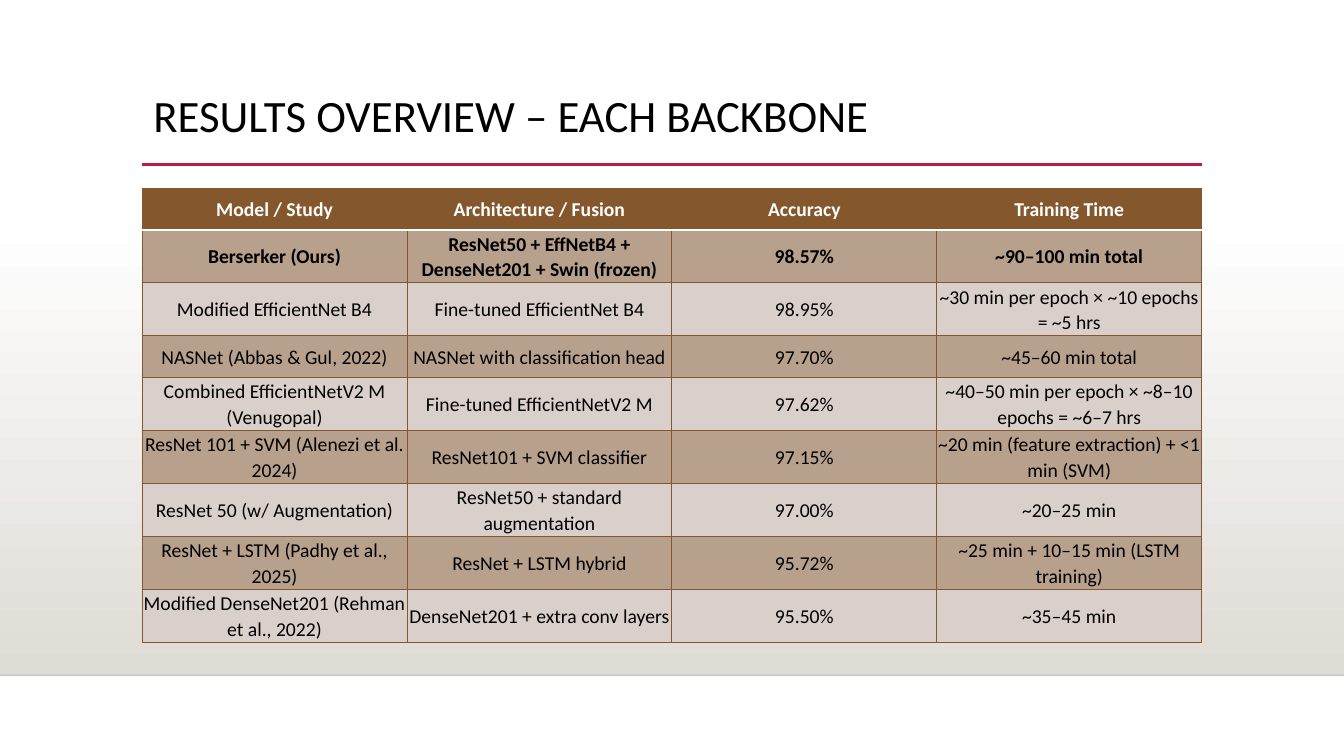
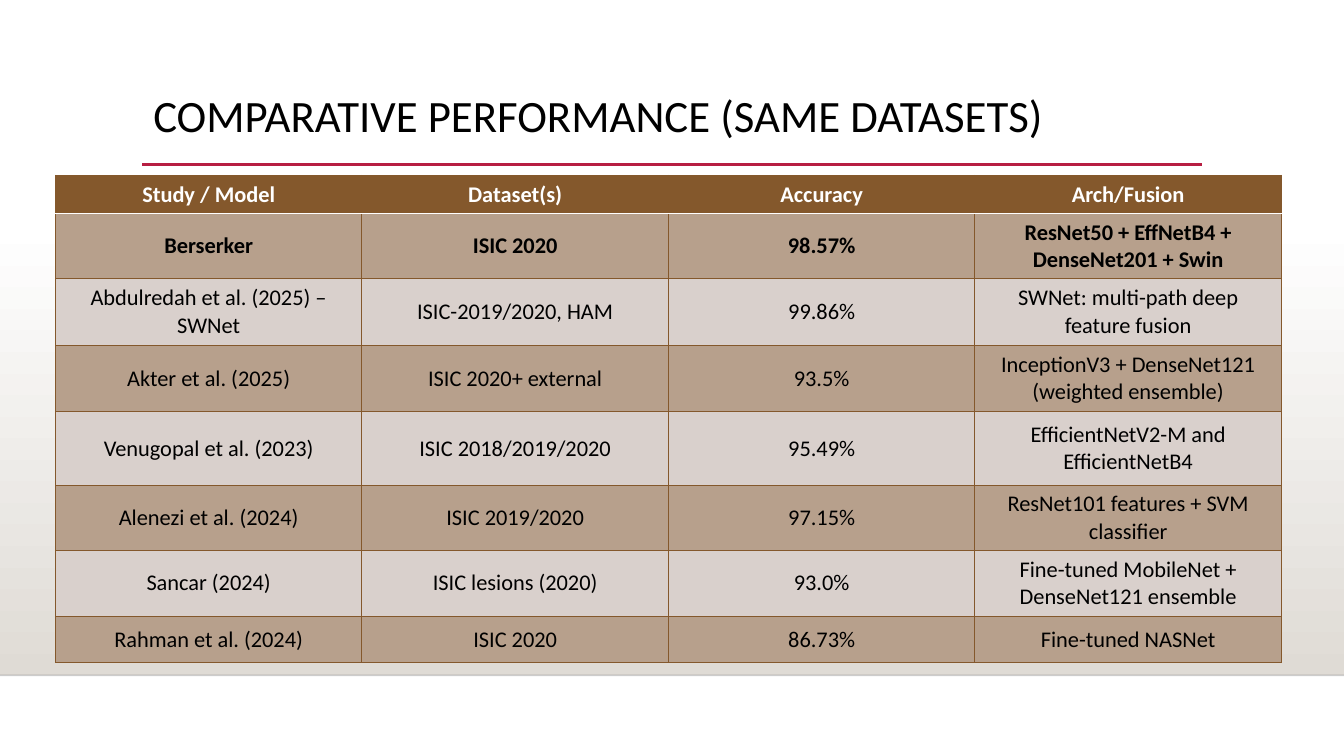
from dataclasses import dataclass

from lxml.etree import SubElement
from pptx import Presentation
from pptx.dml.color import RGBColor
from pptx.enum.shapes import MSO_CONNECTOR, MSO_SHAPE
from pptx.enum.text import MSO_ANCHOR, MSO_AUTO_SIZE, PP_ALIGN
from pptx.oxml.ns import qn
from pptx.util import Inches, Pt


@dataclass(frozen=True)
class Theme:
    font: str = "Calibri"
    title_size: int = 32
    text: str = "000000"
    white: str = "FFFFFF"
    brown: str = "84582C"
    dark_row: str = "B7A08C"
    pale_row: str = "D9D0CC"
    accent: str = "B71E42"
    band: str = "DFDBD5"
    floor: str = "000001"


theme = Theme()
WIDTH, HEIGHT = 13.33, 7.5
MARGIN = 1.41
CONTENT_WIDTH = WIDTH - 2 * MARGIN
FLOOR = HEIGHT - 0.8
BAND_TOP = 2.21

TABLES = [
    {
        "title": "RESULTS OVERVIEW – EACH BACKBONE",
        "left": MARGIN, "top": 1.87, "column": CONTENT_WIDTH / 4,
        "heights": [0.41] * 9,
        "size": 14, "inset": 0.01, "spacing": 1.07, "after": 8,
        "rows": [
            ("Model / Study", "Architecture / Fusion", "Accuracy", "Training Time"),
            ("Berserker (Ours)", "ResNet50 + EffNetB4 + DenseNet201 + Swin (frozen)",
             "98.57%", "~90–100 min total"),
            ("Modified EfficientNet B4", "Fine-tuned EfficientNet B4",
             "98.95%", "~30 min per epoch × ~10 epochs = ~5 hrs"),
            ("NASNet (Abbas & Gul, 2022)", "NASNet with classification head",
             "97.70%", "~45–60 min total"),
            ("Combined EfficientNetV2 M (Venugopal)", "Fine-tuned EfficientNetV2 M",
             "97.62%", "~40–50 min per epoch × ~8–10 epochs = ~6–7 hrs"),
            ("ResNet 101 + SVM (Alenezi et al. 2024)", "ResNet101 + SVM classifier",
             "97.15%", "~20 min (feature extraction) + <1 min (SVM)"),
            ("ResNet 50 (w/ Augmentation)", "ResNet50 + standard augmentation",
             "97.00%", "~20–25 min"),
            ("ResNet + LSTM (Padhy et al., 2025)", "ResNet + LSTM hybrid",
             "95.72%", "~25 min + 10–15 min (LSTM training)"),
            ("Modified DenseNet201 (Rehman et al., 2022)",
             "DenseNet201 + extra conv layers", "95.50%", "~35–45 min"),
        ],
    },
    {
        "title": "COMPARATIVE PERFORMANCE (SAME DATASETS)",
        "left": 0.55, "top": 1.74, "column": 3.04,
        "heights": [0.38, 0.59, 0.66, 0.66, 0.73, 0.59, 0.66, 0.46],
        "size": 16, "inset": None, "spacing": 1.0, "after": 0,
        "rows": [
            ("Study / Model", "Dataset(s)", "Accuracy", "Arch/Fusion"),
            ("Berserker", "ISIC 2020", "98.57%",
             "ResNet50 + EffNetB4 + DenseNet201 + Swin"),
            ("Abdulredah et al. (2025) – SWNet", "ISIC-2019/2020, HAM", "99.86%",
             "SWNet: multi-path deep feature fusion"),
            ("Akter et al. (2025)", "ISIC 2020+ external", "93.5%",
             "InceptionV3 + DenseNet121 (weighted ensemble)"),
            ("Venugopal et al. (2023)", "ISIC 2018/2019/2020", "95.49%",
             "EfficientNetV2-M and EfficientNetB4"),
            ("Alenezi et al. (2024)", "ISIC 2019/2020", "97.15%",
             "ResNet101 features + SVM classifier"),
            ("Sancar (2024)", "ISIC lesions (2020)", "93.0%",
             "Fine-tuned MobileNet + DenseNet121 ensemble"),
            ("Rahman et al. (2024)", "ISIC 2020", "86.73%", "Fine-tuned NASNet"),
        ],
    },
]


def style_paragraph(paragraph, size, color, bold, spacing, alignment):
    paragraph.alignment = alignment
    paragraph.line_spacing = spacing
    paragraph.font.name = theme.font
    paragraph.font.size = Pt(size)
    paragraph.font.bold = bold
    paragraph.font.color.rgb = RGBColor.from_string(color)


def add_border(cell, edge, color, width):
    """Draw one cell edge; edges go in the order L, R, T, B, before the fill."""
    properties = cell._tc.get_or_add_tcPr()
    line = SubElement(properties, qn(f"a:ln{edge}"), w=str(Pt(width)))
    fill = SubElement(line, qn("a:solidFill"))
    SubElement(fill, qn("a:srgbClr"), val=color)


presentation = Presentation()
presentation.slide_width = Inches(WIDTH)
presentation.slide_height = Inches(HEIGHT)
layout = presentation.slide_layouts[5]
slides = [presentation.slides.add_slide(layout) for _ in TABLES]

# Shared band and lines: drawn once, then moved to the layout
drawing = slides[0].shapes
band = drawing.add_shape(MSO_SHAPE.RECTANGLE, 0, Inches(BAND_TOP),
                         Inches(WIDTH), Inches(FLOOR - BAND_TOP))
band.shadow.inherit = False
band.line.fill.background()
band.fill.gradient()
band.fill.gradient_angle = 270
for stop, color in zip(band.fill.gradient_stops, (theme.white, theme.band)):
    stop.color.rgb = RGBColor.from_string(color)
decorations = [band]

for left, right, y, color, width, opacity in (
    (0, WIDTH, FLOOR, theme.floor, 1, 20),
    (MARGIN, WIDTH - MARGIN, 1.63, theme.accent, 2.5, 100),
):
    line = drawing.add_connector(MSO_CONNECTOR.STRAIGHT, Inches(left), Inches(y),
                                 Inches(right), Inches(y))
    line.line.color.rgb = RGBColor.from_string(color)
    line.line.width = Pt(width)
    if opacity < 100:
        tone = line.element.find(".//" + qn("a:srgbClr"))
        SubElement(tone, qn("a:alpha"), val=str(opacity * 1000))
    SubElement(line.element.spPr, qn("a:effectLst"))
    decorations.append(line)

for position, shape in enumerate(decorations, start=2):
    layout.shapes.element.insert(position, shape.element)

for slide, content in zip(slides, TABLES):
    title = slide.shapes.title
    title.left, title.top = Inches(MARGIN + 0.01), Inches(0.88)
    title.width, title.height = Inches(CONTENT_WIDTH), Inches(1.15)
    title.text_frame.text = content["title"]
    title.text_frame.vertical_anchor = MSO_ANCHOR.TOP
    title.text_frame.auto_size = MSO_AUTO_SIZE.NONE
    style_paragraph(title.text_frame.paragraphs[0], theme.title_size, theme.text,
                    False, 0.9, PP_ALIGN.LEFT)

    rows, heights = content["rows"], content["heights"]
    column_count = len(rows[0])
    table = slide.shapes.add_table(
        len(rows), column_count, Inches(content["left"]), Inches(content["top"]),
        Inches(content["column"] * column_count), Inches(sum(heights))).table
    table.horz_banding = False
    for column in table.columns:
        column.width = Inches(content["column"])

    for row_index, (row, height) in enumerate(zip(rows, heights)):
        table.rows[row_index].height = Inches(height)
        is_header = row_index == 0
        if is_header:
            background = theme.brown
        else:
            background = theme.dark_row if row_index % 2 else theme.pale_row
        for column_index, text in enumerate(row):
            cell = table.cell(row_index, column_index)
            cell.text = text
            cell.vertical_anchor = MSO_ANCHOR.MIDDLE
            if content["inset"] is not None:
                cell.margin_left = cell.margin_right = Inches(content["inset"])
                cell.margin_top = cell.margin_bottom = Inches(content["inset"])
            for edge in "LRTB":
                under_header = (row_index, edge) in ((0, "B"), (1, "T"))
                add_border(cell, edge, theme.white if under_header else theme.brown,
                           1.25 if under_header else 0.75)
            cell.fill.solid()
            cell.fill.fore_color.rgb = RGBColor.from_string(background)
            paragraph = cell.text_frame.paragraphs[0]
            style_paragraph(paragraph, content["size"],
                            theme.white if is_header else theme.text,
                            row_index < 2, content["spacing"], PP_ALIGN.CENTER)
            paragraph.space_after = Pt(content["after"])

presentation.save("out.pptx")
